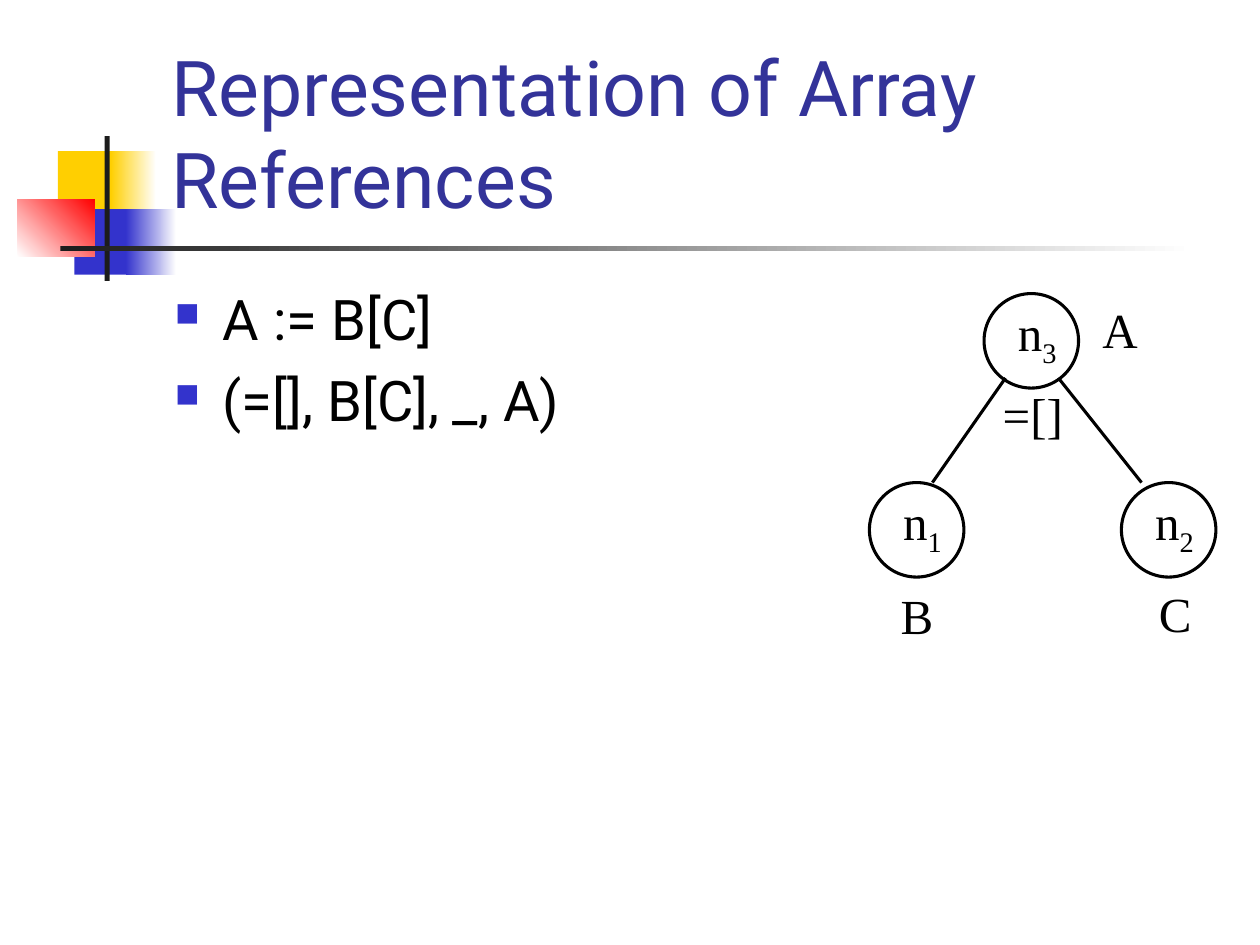
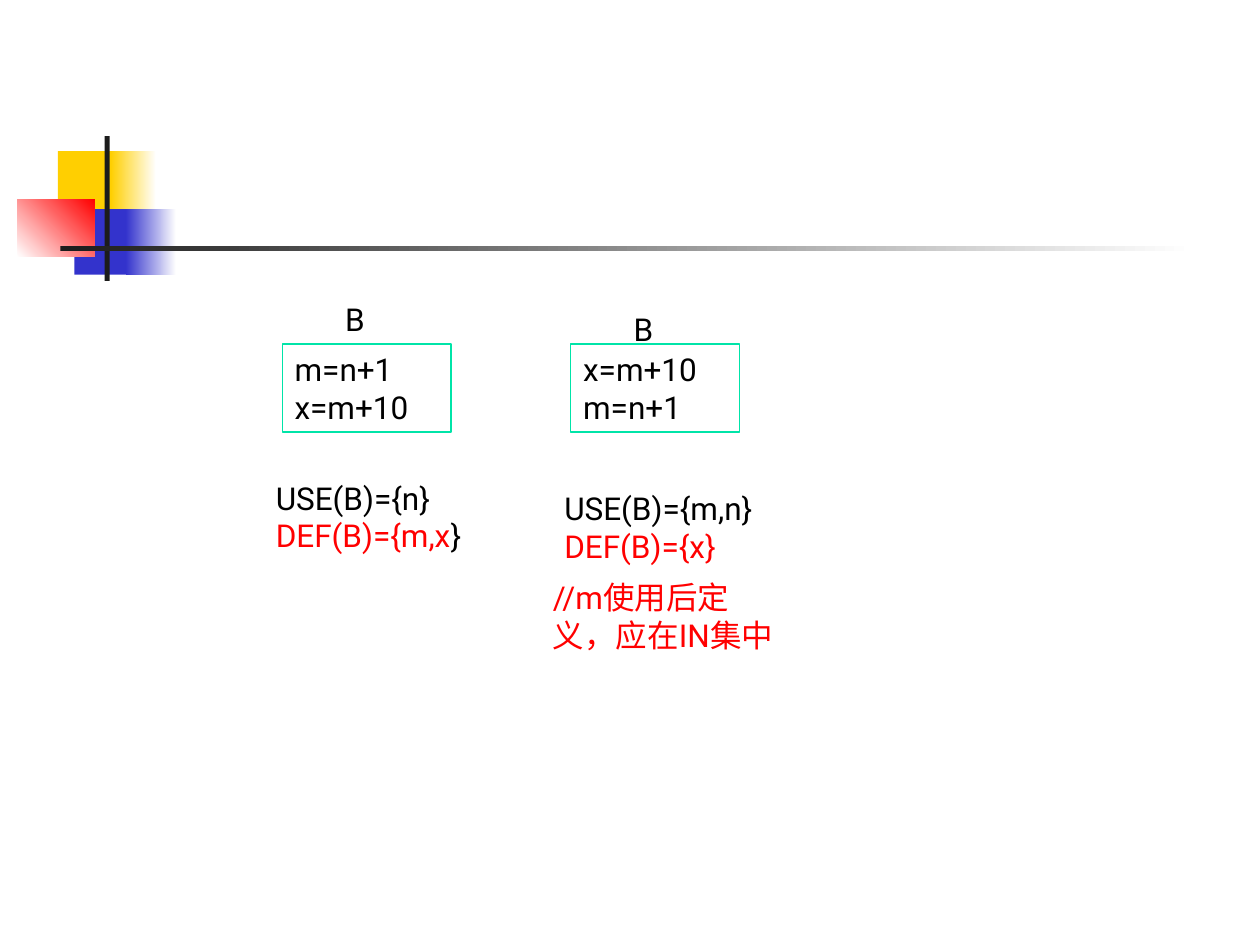
from lxml import etree
from pptx import Presentation
from pptx.dml.color import RGBColor
from pptx.enum import shapes, text
from pptx.oxml import ns
from pptx.util import Inches, Pt

WHITE = RGBColor(0xFF, 0xFF, 0xFF)
BLACK = RGBColor(0x00, 0x00, 0x00)
CHARCOAL = RGBColor(0x1C, 0x1C, 0x1C)
YELLOW = RGBColor(0xFF, 0xCF, 0x01)
BLUE = RGBColor(0x33, 0x33, 0xCC)
RED = RGBColor(0xFF, 0x00, 0x00)
TITLE_BLUE = RGBColor(0x33, 0x33, 0x99)
GREEN = RGBColor(0x00, 0xE4, 0xA8)

SANS = "Roboto"
SERIF = "Times New Roman"
TITLE_ONLY, BLANK = 5, 6
NODE_SIZE = 0.75

# left, top, width, height, colours (two make a gradient), gradient angle
DECORATION = [
    (0.46, 1.2, 0.48, 0.52, [YELLOW], 0),
    (0.88, 1.2, 0.36, 0.52, [YELLOW, WHITE], 0),
    (0.59, 1.66, 0.46, 0.52, [BLUE], 0),
    (1, 1.66, 0.4, 0.52, [BLUE, WHITE], 0),
    (0.14, 1.58, 0.61, 0.46, [WHITE, RED], 45),
    (0.83, 1.08, 0.04, 1.15, [CHARCOAL], 0),
    (0.48, 1.95, 9, 0.04, [CHARCOAL, WHITE], 0),
]


def inches(*lengths):
    return [Inches(length) for length in lengths]


def style(font, size, name, color):
    font.size, font.name = Pt(size), name
    font.color.rgb = color


def add_outline(slide, kind, box, line_color, line_width, fill=None):
    shape = slide.shapes.add_shape(kind, *inches(*box))
    shape.shadow.inherit = False
    if fill is None:
        shape.fill.background()
    else:
        shape.fill.solid()
        shape.fill.fore_color.rgb = fill
    shape.line.color.rgb = line_color
    shape.line.width = Pt(line_width)
    return shape


def add_decoration(slide):
    for *box, colors, angle in DECORATION:
        shape = slide.shapes.add_shape(shapes.MSO_SHAPE.RECTANGLE, *inches(*box))
        shape.shadow.inherit = False
        shape.line.fill.background()
        if len(colors) == 1:
            shape.fill.solid()
            shape.fill.fore_color.rgb = colors[0]
        else:
            shape.fill.gradient()
            shape.fill.gradient_angle = angle
            for stop, color in zip(shape.fill.gradient_stops, colors):
                stop.color.rgb = color


def add_slide(presentation, layout_index):
    slide = presentation.slides.add_slide(presentation.slide_layouts[layout_index])
    add_decoration(slide)
    return slide


def set_title(slide, words):
    title = slide.shapes.title
    title.left, title.top, title.width, title.height = inches(1.26, 0.23, 8.52, 1.6)
    frame = title.text_frame
    frame.text = words
    frame.word_wrap = True
    frame.auto_size = text.MSO_AUTO_SIZE.NONE
    frame.vertical_anchor = text.MSO_ANCHOR.BOTTOM
    paragraph = frame.paragraphs[0]
    paragraph.alignment = text.PP_ALIGN.LEFT
    style(paragraph.font, 44, SANS, TITLE_BLUE)


def fill_lines(frame, lines, size, font_name):
    """Write each line, a list of (words, colour) runs, as a paragraph."""
    for index, runs in enumerate(lines):
        paragraph = frame.add_paragraph() if index else frame.paragraphs[0]
        paragraph.alignment = text.PP_ALIGN.LEFT
        paragraph._p.get_or_add_pPr().set("hangingPunct", "0")
        for words, color in runs:
            run = paragraph.add_run()
            run.text = words
            style(run.font, size, font_name, color)


def add_text(slide, box, lines, size=18, font_name=SANS):
    frame = slide.shapes.add_textbox(*inches(*box)).text_frame
    frame.word_wrap = True
    fill_lines(frame, lines, size, font_name)
    return frame


def add_bullet(paragraph):
    properties = paragraph._p.get_or_add_pPr()
    properties.set("marL", str(Inches(0.38)))
    properties.set("indent", str(-Inches(0.38)))
    color = etree.SubElement(properties, ns.qn("a:buClr"))
    etree.SubElement(color, ns.qn("a:srgbClr"), val=str(BLUE))
    etree.SubElement(properties, ns.qn("a:buSzPct"), val="60000")
    etree.SubElement(properties, ns.qn("a:buChar"), char="■")


def add_bullets(slide, box, items):
    frame = add_text(slide, box, [[(item, BLACK)] for item in items], 32)
    for index, paragraph in enumerate(frame.paragraphs):
        add_bullet(paragraph)
        if index:
            paragraph.space_before = Pt(8)


def add_serif_label(slide, left, top, words, width=0.5, height=0.57):
    return add_text(slide, (left, top, width, height), [[(words, BLACK)]], 28, SERIF)


def add_node(slide, left, top, number):
    add_outline(slide, shapes.MSO_SHAPE.OVAL, (left, top, NODE_SIZE, NODE_SIZE),
                BLACK, 1.75, WHITE)
    frame = add_serif_label(slide, left + 0.17, top + 0.02, "n", 0.7, 0.63)
    subscript = frame.paragraphs[0].add_run()
    subscript.text = number
    style(subscript.font, 28, SERIF, BLACK)
    subscript._r.get_or_add_rPr().set("baseline", "-25000")


def add_edge(slide, start, end):
    edge = slide.shapes.add_connector(shapes.MSO_CONNECTOR.STRAIGHT,
                                      *inches(*start, *end))
    edge.line.color.rgb = BLACK
    edge.line.width = Pt(1.75)
    etree.SubElement(edge._element.spPr, ns.qn("a:effectLst"))


def add_basic_block(slide, left, code, sets, drop=0.0):
    """Draw a code box with its name above and its USE and DEF sets below."""
    box = add_outline(slide, shapes.MSO_SHAPE.RECTANGLE, (left, 2.73, 1.34, 0.7),
                      GREEN, 0.75)
    fill_lines(box.text_frame, [[(line, BLACK)] for line in code], 18, SANS)
    add_text(slide, (left - 0.15, 3.75 + drop, 1.89, 0.7), sets)
    add_text(slide, (left + 0.4, 2.33 + drop, 0.39, 0.4), [[("B", BLACK)]])


def build_array_slide(presentation):
    slide = add_slide(presentation, TITLE_ONLY)
    set_title(slide, "Representation of Array References")
    add_bullets(slide, (1.29, 2.21, 8.5, 4.5), ["A := B[C]", "(=[], B[C], _, A)"])
    for left, top, number in [(6.9, 3.83, "1"), (8.9, 3.83, "2"), (7.81, 2.33, "3")]:
        add_node(slide, left, top, number)
    add_edge(slide, (7.98, 3), (7.4, 3.83))
    add_edge(slide, (8.4, 3), (9.06, 3.83))
    for left, top, words in [(7.05, 4.6, "B"), (9.1, 4.58, "C"), (8.65, 2.33, "A")]:
        add_serif_label(slide, left, top, words)
    add_serif_label(slide, 7.86, 3, "=[]", 0.75)


def build_use_def_slide(presentation):
    slide = add_slide(presentation, BLANK)
    add_basic_block(slide, 2.24, ["m=n+1", "x=m+10"],
                    [[("USE(B)={n}", BLACK)], [("DEF(B)={m,x", RED), ("}", BLACK)]])
    add_basic_block(slide, 4.53, ["x=m+10", "m=n+1"],
                    [[("USE(B)={m,n}", BLACK)], [("DEF(B)={x}", RED)]], drop=0.08)
    add_text(slide, (4.29, 4.54, 2.05, 1), [[("//m使用后定义，应在IN集中", RED)]])


def main():
    presentation = Presentation()
    presentation.slide_width, presentation.slide_height = inches(10, 7.5)
    build_array_slide(presentation)
    build_use_def_slide(presentation)
    presentation.save("out.pptx")


if __name__ == "__main__":
    main()
